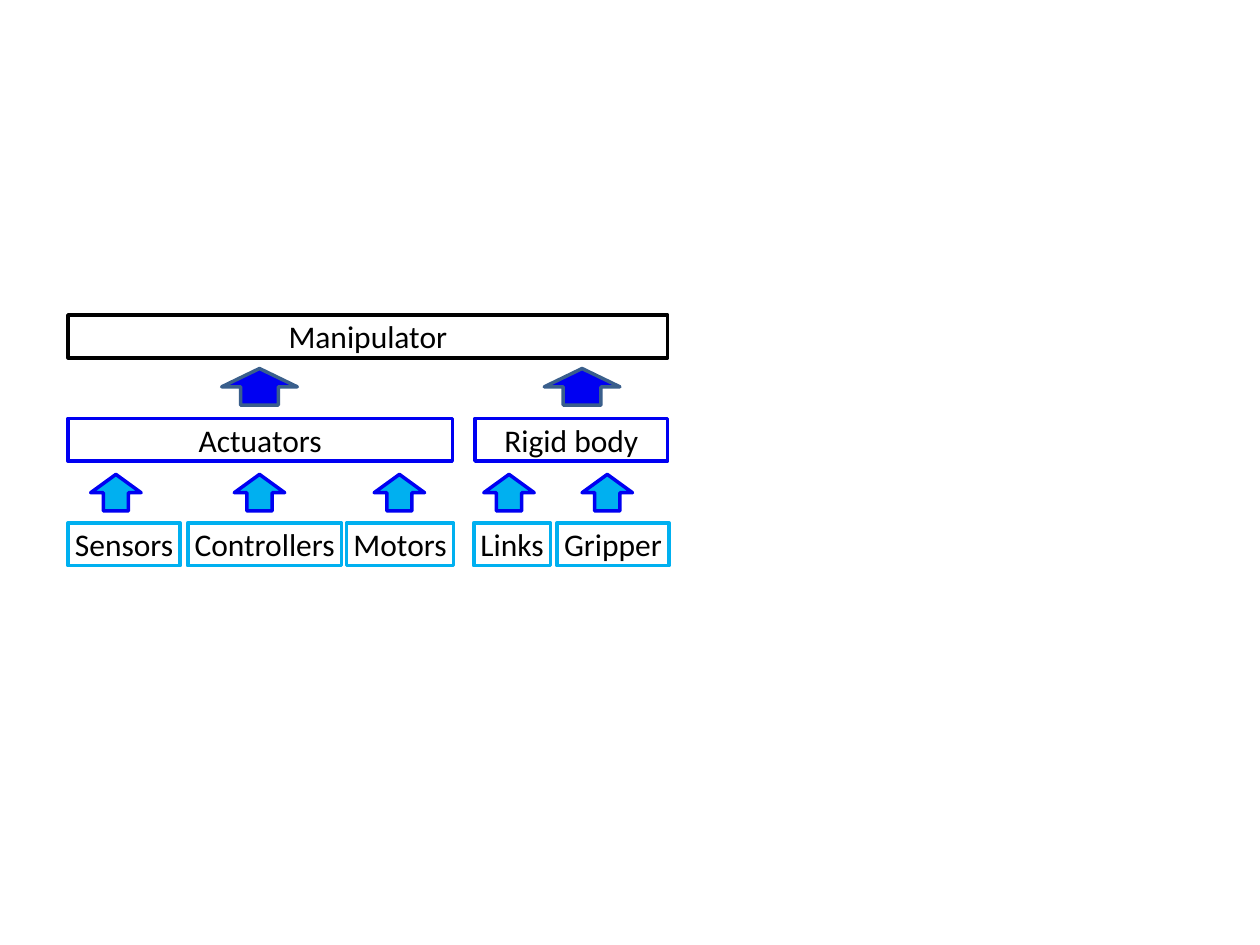
from dataclasses import dataclass

from pptx import Presentation
from pptx import util as u
from pptx.dml.color import RGBColor
from pptx.enum import shapes, text

PX = u.Inches(1) // 100


@dataclass(frozen=True)
class Theme:
    black: str = "000000"
    blue: str = "0000F2"
    cyan: str = "00B0F0"
    slate: str = "3A5F8C"
    font: str = "Calibri"
    size: int = 18
    line: int = 2


@dataclass(frozen=True)
class Box:
    label: str
    left: int
    width: int


@dataclass(frozen=True)
class Tier:
    top: int
    color: str
    fit: bool
    boxes: tuple[Box, ...]


@dataclass(frozen=True)
class Rise:
    mid: int
    span: int
    fill: str
    edge: str
    centers: tuple[int, ...]


LOOK = Theme()
BOX_H = 34
ARROW_H = 29

TIERS = (
    Tier(415, LOOK.cyan, True, (
        Box("Sensors", 54, 89),
        Box("Controllers", 149, 122),
        Box("Motors", 275, 85),
        Box("Links", 376, 61),
        Box("Gripper", 442, 89),
    )),
    Tier(332, LOOK.blue, False, (
        Box("Actuators", 54, 305),
        Box("Rigid body", 377, 153),
    )),
    Tier(250, LOOK.black, False, (Box("Manipulator", 54, 476),)),
)

RISES = (
    Rise(391, 40, LOOK.cyan, LOOK.blue, (92, 206, 317, 404, 482)),
    Rise(307, 60, LOOK.blue, LOOK.slate, (206, 462)),
)


def add_shape(slide, kind, left: int, top: int, width: int, height: int, edge: str):
    shape = slide.shapes.add_shape(
        kind, *(round(n * PX) for n in (left, top, width, height)))
    shape.shadow.inherit = False
    shape.line.color.rgb = RGBColor.from_string(edge)
    shape.line.width = u.Pt(LOOK.line)
    return shape


def draw_box(slide, tier: Tier, box: Box) -> None:
    shape = add_shape(slide, shapes.MSO_SHAPE.RECTANGLE,
                      box.left, tier.top, box.width, BOX_H, tier.color)
    shape.fill.background()
    frame = shape.text_frame
    frame.word_wrap = False
    frame.auto_size = (text.MSO_AUTO_SIZE.SHAPE_TO_FIT_TEXT if tier.fit
                       else text.MSO_AUTO_SIZE.NONE)
    frame.vertical_anchor = text.MSO_ANCHOR.MIDDLE
    frame.margin_left = frame.margin_right = 5 * PX
    frame.margin_top = frame.margin_bottom = 2 * PX
    para = frame.paragraphs[0]
    para.alignment = text.PP_ALIGN.CENTER
    run = para.add_run()
    run.text = box.label
    run.font.name = LOOK.font
    run.font.size = u.Pt(LOOK.size)
    run.font.color.rgb = RGBColor.from_string(LOOK.black)


def draw_arrow(slide, rise: Rise, center: int) -> None:
    arrow = add_shape(slide, shapes.MSO_SHAPE.RIGHT_ARROW,
                      center - ARROW_H / 2, rise.mid - rise.span / 2,
                      ARROW_H, rise.span, rise.edge)
    arrow.rotation = 270
    arrow.fill.solid()
    arrow.fill.fore_color.rgb = RGBColor.from_string(rise.fill)


def main() -> None:
    deck = Presentation()
    deck.slide_width = 1000 * PX
    deck.slide_height = 750 * PX
    slide = deck.slides.add_slide(deck.slide_layouts[6])
    for tier in TIERS:
        for box in tier.boxes:
            draw_box(slide, tier, box)
    for rise in RISES:
        for center in rise.centers:
            draw_arrow(slide, rise, center)
    deck.save("out.pptx")


if __name__ == "__main__":
    main()
